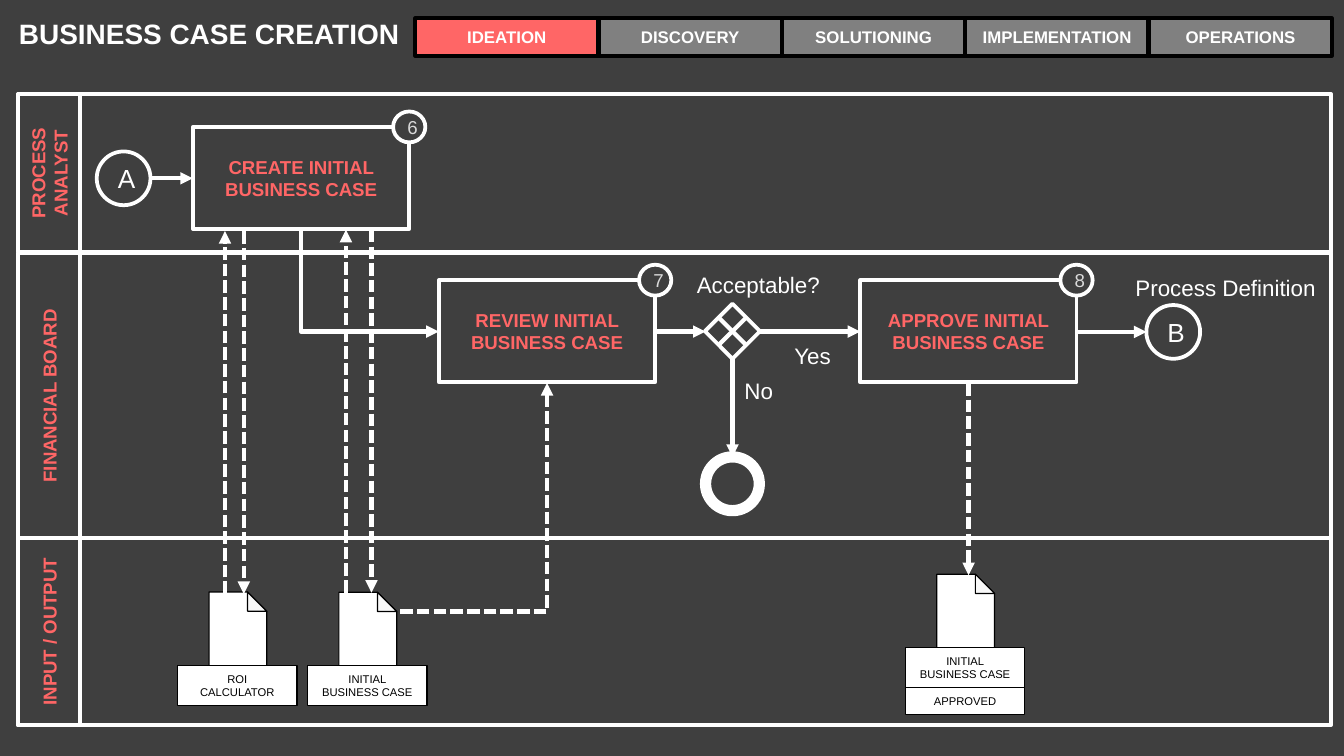
"""Builds the business case creation swimlane slide on a grid of tenth-of-an-inch cells."""
from lxml import etree
from pptx import Presentation
from pptx.dml.color import RGBColor
from pptx.enum.dml import MSO_LINE
from pptx.enum.shapes import MSO_CONNECTOR, MSO_SHAPE
from pptx.enum.text import MSO_ANCHOR, MSO_AUTO_SIZE, PP_ALIGN
from pptx.oxml.ns import qn
from pptx.util import Inches, Pt

WHITE = RGBColor(0xFF, 0xFF, 0xFF)
BLACK = RGBColor(0, 0, 0)
CHARCOAL = RGBColor(0x3F, 0x3F, 0x3F)
GRAY = RGBColor(0x80, 0x80, 0x80)
SILVER = RGBColor(0xD9, 0xD9, 0xD9)
PAPER_FOLD = RGBColor(0xF8, 0xF8, 0xF8)
CORAL = RGBColor(0xFF, 0x66, 0x66)
RECT, OVAL, DECISION = MSO_SHAPE.RECTANGLE, MSO_SHAPE.OVAL, MSO_SHAPE.FLOWCHART_DECISION
STRAIGHT, DASHED = MSO_CONNECTOR.STRAIGHT, MSO_LINE.SQUARE_DOT
LEFT, CENTER, RIGHT = PP_ALIGN.LEFT, PP_ALIGN.CENTER, PP_ALIGN.RIGHT
TOP, MIDDLE = MSO_ANCHOR.TOP, MSO_ANCHOR.MIDDLE
FIXED, GROW = MSO_AUTO_SIZE.NONE, MSO_AUTO_SIZE.SHAPE_TO_FIT_TEXT
CELL = Inches(0.1)
SLIDE_WIDTH = Inches(10)
SLIDE_HEIGHT = SLIDE_WIDTH * 9 // 16


def grid(*cells):
    return [round(cell * CELL) for cell in cells]


def write(frame, text, size=10, color=WHITE, bold=False, align=CENTER,
          anchor=MIDDLE, fit=FIXED, wrap=True):
    frame.word_wrap, frame.auto_size, frame.vertical_anchor = wrap, fit, anchor
    paragraph = frame.paragraphs[0]
    paragraph.alignment = align
    run = paragraph.add_run()
    run.text = text
    font = run.font
    font.name, font.size, font.bold, font.color.rgb = "Arial", Pt(size), bold, color


class Swimlane:
    """Holds the slide and draws each kind of process element in its style."""

    def __init__(self, deck):
        self.slide = deck.slides.add_slide(deck.slide_layouts[5])
        self.shapes = self.slide.shapes
        background = self.slide.background.fill
        background.solid()
        background.fore_color.rgb = CHARCOAL

    def paint(self, shape, fill, line, weight):
        shape.shadow.inherit = False
        if fill is None:
            shape.fill.background()
        else:
            shape.fill.solid()
            shape.fill.fore_color.rgb = fill
        shape.line.color.rgb = line
        shape.line.width = Pt(weight)

    def box(self, kind, col, row, cols, rows, text="", fill=None, line=WHITE, weight=2, **style):
        shape = self.shapes.add_shape(kind, *grid(col, row, cols, rows))
        self.paint(shape, fill, line, weight)
        if text:
            write(shape.text_frame, text, **style)
        return shape

    def title(self, text, col, row, cols, rows):
        title = self.shapes.title
        title.left, title.top, title.width, title.height = grid(col, row, cols, rows)
        frame = title.text_frame
        frame.margin_left = frame.margin_right = frame.margin_top = frame.margin_bottom = CELL
        write(frame, text, size=15, bold=True, align=LEFT, anchor=TOP)

    def lane(self, name, row, rows):
        col, cols, band = 1.35, 97.7, 4.6
        self.box(RECT, col, row, cols, rows)
        label = self.box(RECT, col + (band - rows) / 2, row + (rows - band) / 2, rows, band,
                         name, color=CORAL, bold=True)
        label.rotation = 270

    def step(self, number, text, col, row):
        self.box(RECT, col, row, 16.1, 7.6, text, color=CORAL, bold=True)
        self.box(OVAL, col + 14.9, row - 1.15, 2.4, 2.3, number, CHARCOAL, color=SILVER)

    def outline(self, points, fill):
        start, *rest = [grid(*point) for point in points]
        builder = self.shapes.build_freeform(*start)
        builder.add_line_segments(rest)
        self.paint(builder.convert_to_shape(), fill, BLACK, 0.63)

    def document(self, col, row, *captions):
        right, bottom, fold = col + 4.3, row + 5.75, 1.43
        corner, crease = (right - fold, row), (right, row + fold)
        self.outline([corner, (col, row), (col, bottom), (right, bottom), crease], WHITE)
        self.outline([(right - fold, row + fold), crease, corner], PAPER_FOLD)
        caption_row = row + 5.45
        for caption, rows in captions:
            self.box(RECT, col - 2.35, caption_row, 8.9, rows, caption, WHITE, BLACK, 0.75,
                     size=6, color=BLACK, anchor=TOP, fit=GROW)
            caption_row += rows

    def caption(self, text, col, row, cols, wrap=True):
        frame = self.shapes.add_textbox(*grid(col, row, cols, 3)).text_frame
        write(frame, text, size=12, align=RIGHT, anchor=TOP, fit=GROW, wrap=wrap)

    def flow(self, start, end, dashed=False, arrow="tailEnd"):
        connector = self.shapes.add_connector(STRAIGHT, *grid(*start, *end))
        connector.line.color.rgb = WHITE
        connector.line.width = Pt(2.25)
        if dashed:
            connector.line.dash_style = DASHED
        properties = connector._element.spPr
        if arrow:
            etree.SubElement(properties.find(qn("a:ln")), qn("a:" + arrow), type="triangle")
        etree.SubElement(properties, qn("a:effectLst"))
        return connector

    def elbow(self, start, end, **style):
        """Runs down from start, then sideways to end."""
        across, down = end[0] - start[0], end[1] - start[1]
        mid_col, mid_row = start[0] + across / 2, start[1] + down / 2
        half_cols, half_rows = down / 2, abs(across) / 2
        connector = self.flow((mid_col - half_cols, mid_row - half_rows),
                              (mid_col + half_cols, mid_row + half_rows), **style)
        properties = connector._element.spPr
        properties.find(qn("a:prstGeom")).set("prst", "bentConnector2")
        frame = properties.find(qn("a:xfrm"))
        frame.set("rot", str((270 if across > 0 else 90) * 60000))
        if across > 0:
            frame.set("flipH", "1")

    def gateway(self, col, row):
        self.box(DECISION, col - 2.05, row - 2.05, 4.1, 4.1)
        for rise in (-1.05, 1.05):
            self.flow((col - 1.05, row + rise), (col + 1.05, row - rise), arrow=None)


def main():
    deck = Presentation()
    deck.slide_width, deck.slide_height = SLIDE_WIDTH, SLIDE_HEIGHT
    chart = Swimlane(deck)
    chart.title("BUSINESS CASE CREATION", 0.4, 0.2, 32.1, 6.3)

    phases = ["IDEATION", "DISCOVERY", "SOLUTIONING", "IMPLEMENTATION", "OPERATIONS"]
    for index, phase in enumerate(phases):
        chart.box(RECT, 30.9 + 13.65 * index, 1.35, 13.6, 2.8, phase,
                  GRAY if index else CORAL, BLACK, size=9, bold=True)

    for name, row, rows in [("PROCESS ANALYST", 7, 11.75), ("FINANCIAL BOARD", 18.85, 21.2),
                            ("INPUT / OUTPUT", 40.05, 13.9)]:
        chart.lane(name, row, rows)

    for number, text, col, row in [("6", "CREATE INITIAL BUSINESS CASE", 14.35, 9.45),
                                   ("7", "REVIEW INITIAL BUSINESS CASE", 32.65, 20.85),
                                   ("8", "APPROVE INITIAL BUSINESS CASE", 64, 20.85)]:
        chart.step(number, text, col, row)

    for letter, col, row in [("A", 7.2, 11.27), ("B", 85.3, 22.7)]:
        chart.box(OVAL, col, row, 4, 4, letter, size=14)
    chart.box(OVAL, 52.5, 34, 4, 4, weight=6)
    chart.gateway(54.5, 24.65)

    initial_case = ("INITIAL BUSINESS CASE", 3)
    chart.document(15.55, 44.05, ("ROI CALCULATOR", 3))
    chart.document(25.22, 44.07, initial_case)
    chart.document(69.7, 42.73, initial_case, ("APPROVED", 2))

    for start, end in [((11.2, 13.27), (14.35, 13.27)), ((48.8, 24.67), (52.5, 24.67)),
                       ((56.5, 24.67), (64, 24.67)), ((80.1, 24.7), (85.3, 24.7)),
                       ((54.5, 26.7), (54.5, 34))]:
        chart.flow(start, end)
    for col, row, end_row in [(16.74, 44.2, 17.2), (18.14, 17.2, 44.2), (25.74, 44.1, 17.1),
                              (27.64, 17.1, 44.1), (72.07, 28.5, 42.8)]:
        chart.flow((col, row), (col, end_row), dashed=True)
    chart.elbow((22.4, 17.1), (32.65, 24.67))
    chart.elbow((40.7, 28.5), (29.5, 45.5), dashed=True, arrow="headEnd")

    chart.caption("Acceptable?", 50.3, 19.7, 11.7)
    chart.caption("No", 54.3, 27.6, 4.2, wrap=False)
    chart.caption("Yes", 57.9, 25, 4.9, wrap=False)
    chart.caption("Process Definition", 83.3, 19.9, 15.6)
    deck.save("out.pptx")


if __name__ == "__main__":
    main()
